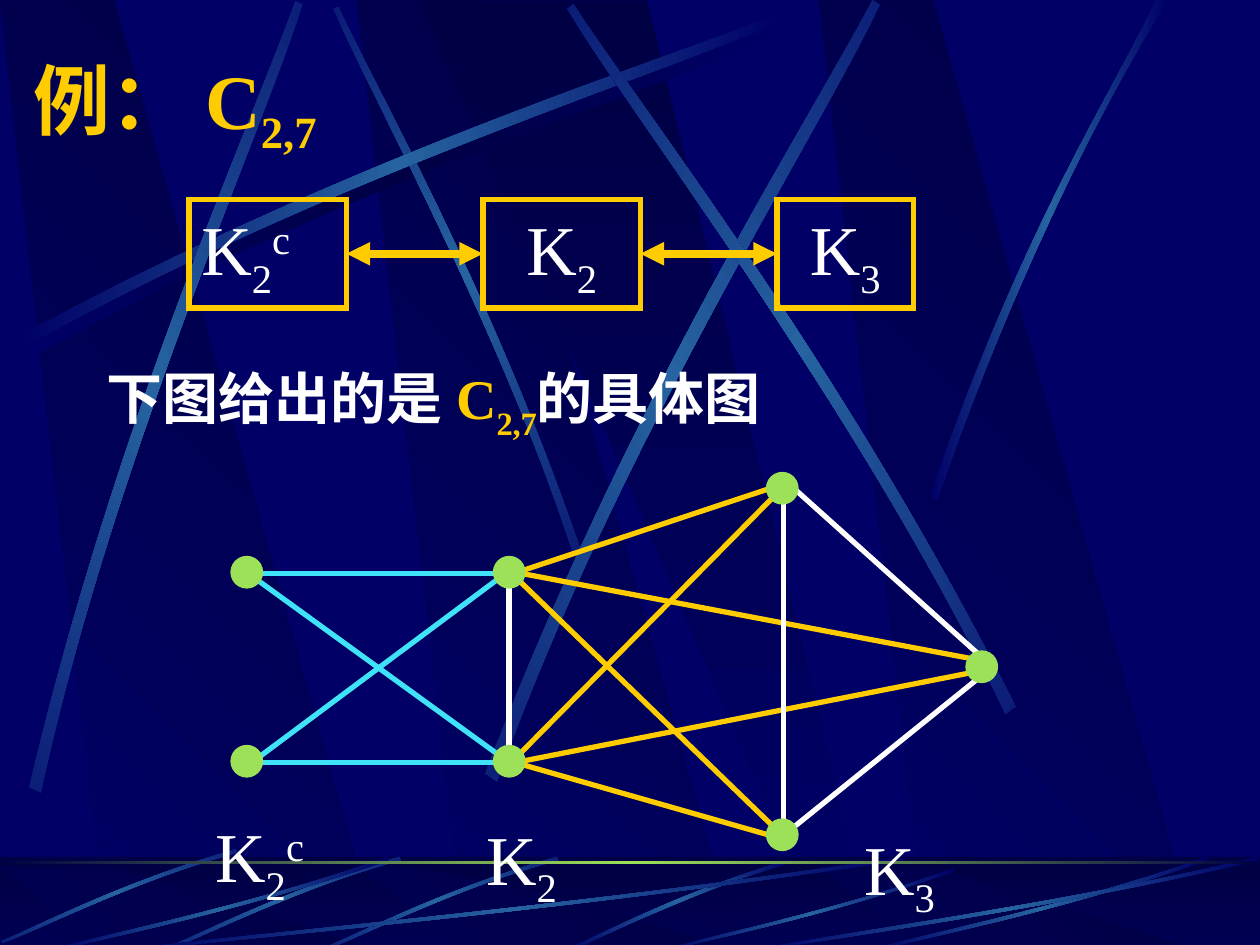
from dataclasses import dataclass
from typing import NamedTuple

from pptx import Presentation
from pptx import util as u
from pptx.dml.color import RGBColor
from pptx.enum import shapes, text
from pptx.oxml.ns import qn
from pptx.oxml.xmlchemy import OxmlElement

COLORS = {"navy": "000066", "dark": "000044", "strand": "2663A0", "green": "9CE157",
          "gold": "FFCC00", "white": "FFFFFF", "cyan": "40E2F8"}
LATIN, CJK = "Times New Roman", "Noto Sans CJK SC"
SHADE, GLOW = ("dark", "navy"), ("navy", "strand", "navy")

# Outlines in a unit box; each strand is two cubic curves of four points
PANEL = [(0.285, 1), (1, 1), (0.3, 0), (0, 0)]
WIDE_PANEL = [(0, 0), (0.9, 1), (1, 1), (0.5, 0)]
LONG = [(0, 0.964), (0.434, 0.43), (0.829, 0.154), (0.997, 0),
        (1, 0.022), (0.836, 0.19), (0.395, 0.498), (0.005, 1)]
SIDE = [(0, 0.992), (0.402, 0.436), (0.794, 0.166), (0.947, 0),
        (1, 0), (0.519, 0.365), (0.164, 0.811), (0.032, 1)]
SHORT = [(0.994, 0), (0.494, 0.37), (0.161, 0.822), (0, 0.986),
         (0.028, 1), (0.233, 0.753), (0.683, 0.247), (1, 0.041)]

# Graph: nodes by centre, edges by end points
NODES = [(141, 327), (141, 435), (291, 327), (291, 435), (447, 279), (447, 477), (561, 381)]
EDGES = {
    "cyan": [((142.6, 327.6), (286.6, 327.6)), ((141.8, 327.6), (293.8, 437.8)),
             ((142.6, 435.6), (286.6, 435.6)), ((144, 435.6), (293.8, 324))],
    "gold": [((293.8, 327.6), (450, 275.8)), ((291.6, 326.9), (450, 480.2)),
             ((293.8, 326.9), (563.8, 378)), ((293.8, 435.6), (450, 480.2)),
             ((292.3, 435.6), (450, 275.8)), ((295.2, 435.6), (558, 383.8))],
    "white": [((290.9, 325.4), (290.9, 439.2)), ((447.8, 280.8), (447.8, 480.2)),
              ((450, 275.8), (563.8, 378)), ((444.2, 480.2), (563.8, 383.8))],
}


class Box(NamedTuple):
    x: float
    y: float
    w: float
    h: float

    def emu(self) -> list:
        return [u.Pt(v) for v in self]


@dataclass
class Strand:
    box: Box
    rot: float = 0
    flip_h: bool = False
    flip_v: bool = False
    outline: tuple = tuple(LONG)
    stops: tuple = GLOW


@dataclass
class Run:
    text: str
    size: float
    color: str = "white"
    bold: bool = False
    baseline: int = 0
    font: str = LATIN


TOP_STRANDS = [
    Strand(Box(14.4, 13, 437.8, 192.2), stops=("navy", "dark", "navy")),
    Strand(Box(101.5, 97.2, 318.2, 126), 45, True),
    Strand(Box(10.1, 7.2, 437.8, 192.2)),
    Strand(Box(-123.1, 131, 437.8, 192.2), 311.7),
    Strand(Box(166.3, 115.2, 449.3, 216.7), 321.6),
    Strand(Box(232.6, 109.4, 437.8, 192.2), 34.8, True),
    Strand(Box(531.4, 0, 136.1, 285.8), outline=tuple(SIDE)),
]
FLOOR_STRANDS = [
    Strand(Box(322.6, 491, 129.6, 52.6), outline=tuple(SHORT)),
    *[Strand(Box(x, y, 132, 60), 314.9, True)
      for x, y in [(185.8, 486.7), (95.8, 486.7), (2.4, 482.4)]],
    *[Strand(Box(x, 543.6 - h, w, h), 0, True, True)
      for x, w, h in [(72, 444.2, 54), (30.2, 192.2, 54), (379.4, 166.3, 47.5),
                      (498.2, 192.2, 54), (432, 288, 54)]],
]


def rgb(name: str) -> RGBColor:
    return RGBColor.from_string(COLORS[name])


def element(tag: str, **attrs: str):
    el = OxmlElement(tag)
    for key, value in attrs.items():
        el.set(key, value)
    return el


def shade(sp, stops: tuple, angle: int) -> None:
    """Fill with evenly spaced gradient stops and no outline."""
    sp.shadow.inherit = False
    sp.line.fill.background()
    sp.fill.gradient()
    grad = sp.element.spPr.find(qn("a:gradFill"))
    grad.find(qn("a:lin")).set("ang", str(angle * 60000))
    gs_list = grad.find(qn("a:gsLst"))
    for gs in list(gs_list):
        gs_list.remove(gs)
    for i, name in enumerate(stops):
        gs = element("a:gs", pos=str(100000 * i // (len(stops) - 1)))
        gs.append(element("a:srgbClr", val=COLORS[name]))
        gs_list.append(gs)


def add_outline(s, points: list, box: Box, stops: tuple, angle: int):
    pts = [(u.Pt(box.x + box.w * x), u.Pt(box.y + box.h * y)) for x, y in points]
    fb = s.shapes.build_freeform(*pts[0], scale=1.0)
    fb.add_line_segments(pts[1:], close=True)
    sp = fb.convert_to_shape()
    shade(sp, stops, angle)
    return sp


def add_strand(s, st: Strand) -> None:
    pts = [(1 - x if st.flip_h else x, 1 - y if st.flip_v else y) for x, y in st.outline]
    sp = add_outline(s, pts, st.box, st.stops, 180)
    sp.rotation = st.rot
    # Turn the two long sides into cubic curves
    lines = list(sp.element.iter(qn("a:lnTo")))
    for side in (lines[:3], lines[4:7]):
        curve = OxmlElement("a:cubicBezTo")
        side[0].addprevious(curve)
        for line in side:
            curve.append(line[0])
            line.getparent().remove(line)


def add_panels(s, y: float, h: float) -> None:
    for x in (204, 0, 468):
        add_outline(s, PANEL, Box(x, y, 217.4, h), SHADE, 135)
    add_outline(s, WIDE_PANEL, Box(239.8, y, 259.9, h), SHADE, 90)


def add_shape(s, kind, box: Box):
    sp = s.shapes.add_shape(kind, *box.emu())
    sp.shadow.inherit = False
    return sp


def add_line(s, start: tuple, end: tuple, color: str, width: float = 3):
    cx = s.shapes.add_connector(shapes.MSO_CONNECTOR.STRAIGHT, *map(u.Pt, start + end))
    cx.line.color.rgb, cx.line.width = rgb(color), u.Pt(width)
    cx.element.spPr.append(OxmlElement("a:effectLst"))
    return cx


def write(sp, runs: list, align=text.PP_ALIGN.LEFT, anchor=text.MSO_ANCHOR.TOP) -> None:
    tf = sp.text_frame
    frame = {"word_wrap": True, "vertical_anchor": anchor,
             "auto_size": text.MSO_AUTO_SIZE.SHAPE_TO_FIT_TEXT}
    for key, value in frame.items():
        setattr(tf, key, value)
    p = tf.paragraphs[0]
    p.alignment = align
    for run in runs:
        r = p.add_run()
        r.text = run.text
        for key, value in {"name": run.font, "size": u.Pt(run.size), "bold": run.bold}.items():
            setattr(r.font, key, value)
        r.font.color.rgb = rgb(run.color)
        rpr = r._r.get_or_add_rPr()
        rpr.find(qn("a:latin")).addnext(element("a:ea", typeface=CJK))
        if run.baseline:
            rpr.set("baseline", str(run.baseline * 1000))


def k_runs(sub: str, sup: str = "") -> list:
    runs = [Run("K", 40), Run(sub, 40, baseline=-25)]
    return runs + [Run(sup, 40, baseline=30)] if sup else runs


def add_backdrop(s, master) -> None:
    master.background.fill.solid()
    master.background.fill.fore_color.rgb = rgb("navy")
    title = s.shapes.title.element
    rect, floor = shapes.MSO_SHAPE.RECTANGLE, Box(0, 489.6, 720, 54)
    add_panels(s, 0.3, 541.2)
    for st in TOP_STRANDS:
        add_strand(s, st)
    shade(add_shape(s, rect, floor), SHADE, 90)
    add_panels(s, 495.6, 48)
    veil = add_shape(s, rect, floor)
    veil.line.fill.background()
    veil.fill.solid()
    veil.fill.fore_color.rgb = rgb("dark")
    veil.element.spPr.find(qn("a:solidFill"))[0].append(element("a:alpha", val="50000"))
    for st in FLOOR_STRANDS:
        add_strand(s, st)
    shade(add_shape(s, rect, Box(0, 492.2, 720, 1.7)), ("dark", "green", "dark"), 180)
    # The decoration belongs to the master
    for i, sp in enumerate([sp for sp in s.shapes if sp.element is not title]):
        sp.element.nvSpPr.cNvPr.set("id", str(100 + i))
        master.shapes.element.append(sp.element)


def add_headings(s) -> None:
    title = s.shapes.title
    title.left, title.top, title.width, title.height = Box(12, 26, 612, 67.7).emu()
    gold = {"color": "gold", "bold": True}
    write(title, [Run("例： C", 44, **gold), Run("2,7", 44, baseline=-25, **gold)],
          anchor=text.MSO_ANCHOR.MIDDLE)
    cjk = {"bold": True, "font": CJK}
    write(s.shapes.add_textbox(*Box(54, 204, 564, 52.6).emu()),
          [Run("下图给出的是 ", 32, **cjk), Run("C", 32, **gold),
           Run("2,7", 32, baseline=-30, **gold), Run("的具体图", 32, **cjk)])


def add_chain(s) -> None:
    center = text.PP_ALIGN.CENTER
    boxes = []
    for x, w, runs, align in [(108, 90, k_runs("2", "c"), text.PP_ALIGN.LEFT),
                              (276, 90, k_runs("2"), center), (444, 78, k_runs("3"), center)]:
        sp = add_shape(s, shapes.MSO_SHAPE.RECTANGLE, Box(x, 114, w, 62))
        sp.fill.background()
        sp.line.color.rgb, sp.line.width = rgb("gold"), u.Pt(3)
        sp.line._get_or_add_ln().append(element("a:miter", lim="800000"))
        write(sp, runs, align)
        boxes.append(sp)
    for a, b in zip(boxes, boxes[1:]):
        cx = add_line(s, (0, 0), (0, 0), "gold", 4.5)
        cx.begin_connect(a, 3)
        cx.end_connect(b, 1)
        for tag in ("a:headEnd", "a:tailEnd"):
            cx.line._get_or_add_ln().append(element(tag, type="triangle"))


def add_graph(s) -> None:
    for color, edges in EDGES.items():
        for start, end in edges:
            add_line(s, start, end, color)
    for x, y in NODES:
        sp = add_shape(s, shapes.MSO_SHAPE.OVAL, Box(x - 9, y - 9, 18, 18))
        sp.fill.solid()
        sp.fill.fore_color.rgb = sp.line.color.rgb = rgb("green")
        sp.line.width = u.Pt(0.75)
    for x, y, w, runs in [(115.9, 460.8, 68, k_runs("2", "c")),
                          (270.7, 462.2, 58, k_runs("2")), (486.7, 468, 58, k_runs("3"))]:
        write(s.shapes.add_textbox(*Box(x, y, w, 62).emu()), runs)


prs = Presentation()
prs.slide_width, prs.slide_height = u.Pt(720), u.Pt(540)
s = prs.slides.add_slide(prs.slide_layouts[5])
add_backdrop(s, prs.slide_master)
for draw in (add_headings, add_chain, add_graph):
    draw(s)
prs.save("out.pptx")
